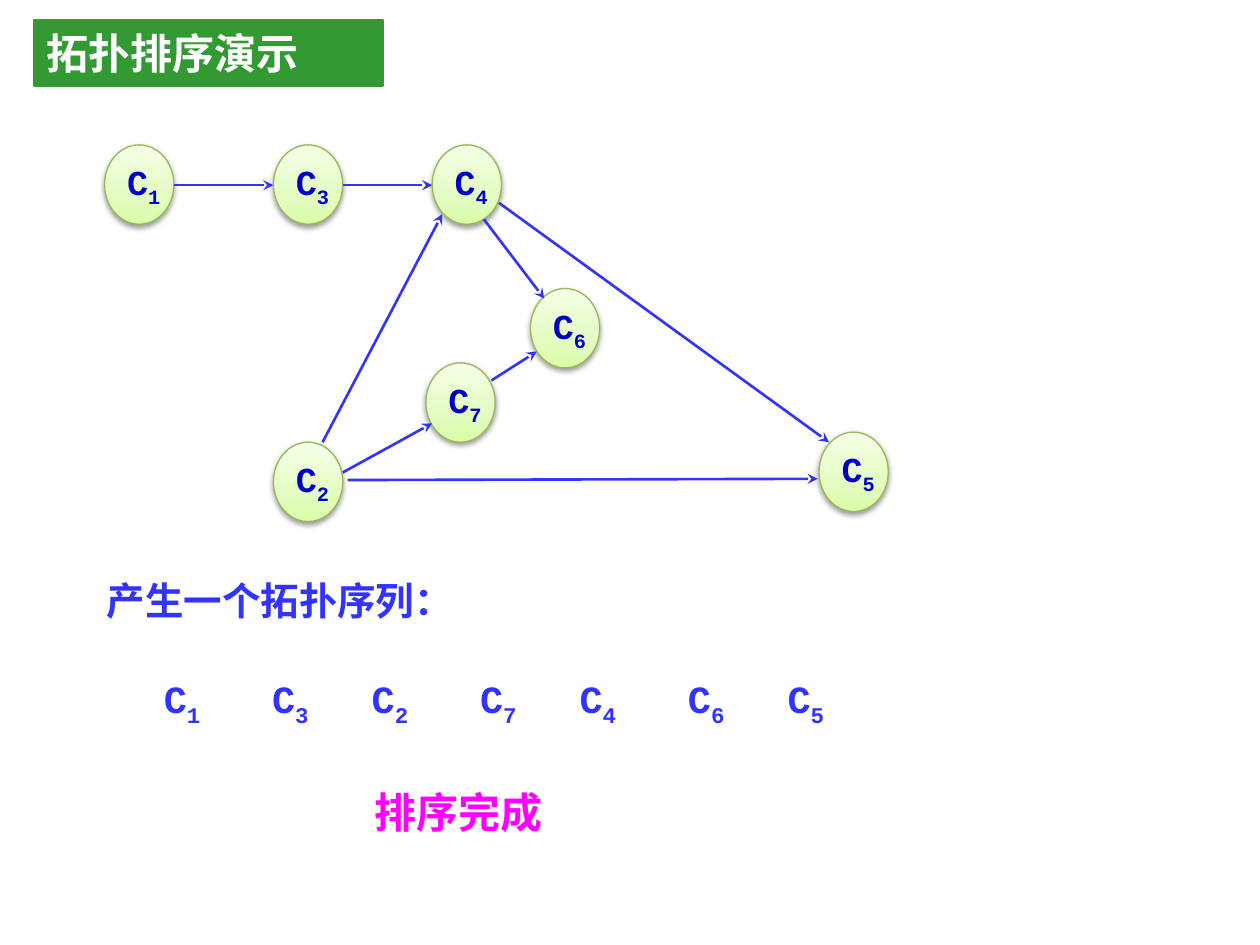
import copy

import lxml.etree
import pptx
import pptx.dml.color
import pptx.enum.shapes
import pptx.enum.text
import pptx.oxml.ns
import pptx.util

Inches = pptx.util.Inches
Pt = pptx.util.Pt
qn = pptx.oxml.ns.qn

FONT = "Courier New"
COLORS = {
    "node_text": "0000CC",
    "node_line": "98B955",
    "edge": "3333FF",
    "banner": "339933",
    "banner_text": "FFFFFF",
    "done": "FF00FF",
    "shadow": "000000",
}
NODE_STOPS = [(0, "DAFDA7"), (0.35, "E4FCC2"), (1, "F5FFE7")]
NODE_WIDTH, NODE_HEIGHT = 0.55, 0.63

# Left and top of each course node
NODES = {
    "1": (0.83, 1.15),
    "3": (2.17, 1.15),
    "4": (3.43, 1.15),
    "2": (2.17, 3.51),
    "7": (3.38, 2.88),
    "6": (4.21, 2.29),
    "5": (6.5, 3.43),
}
# Start and end of each prerequisite arrow
EDGES = [
    ((1.38, 1.47), (2.17, 1.47)),
    ((2.72, 1.47), (3.43, 1.47)),
    ((2.56, 3.51), (3.51, 1.7)),
    ((2.72, 3.75), (3.43, 3.36)),
    ((3.9, 3.02), (4.26, 2.79)),
    ((3.96, 1.61), (6.58, 3.51)),
    ((2.76, 3.81), (6.49, 3.8)),
    ((3.84, 1.74), (4.32, 2.37)),
]
SORTED_ORDER = "1327465"


def rgb(name):
    return pptx.dml.color.RGBColor.from_string(COLORS[name])


def add_span(para, text, size, color):
    span = para.add_run()
    span.text = text
    span.font.name = FONT
    span.font.size = Pt(size)
    span.font.bold = True
    span.font.color.rgb = rgb(color)
    return span


def add_course(para, number, size, color):
    """Write C with a subscript number."""
    add_span(para, "C", size, color)
    span = add_span(para, number, size, color)
    span.font._element.set("baseline", "-25000")


def fill_gradient(shape):
    shape.fill.gradient()
    shape.fill.gradient_angle = 90
    stop_list = shape._element.spPr.find(".//" + qn("a:gsLst"))
    stop_list.append(copy.deepcopy(stop_list[-1]))
    for stop, (position, color) in zip(shape.fill.gradient_stops, NODE_STOPS):
        stop.position = position
        stop.color.rgb = pptx.dml.color.RGBColor.from_string(color)


def add_soft_shadow(shape):
    shape.shadow.inherit = False
    effects = shape._element.spPr.find(qn("a:effectLst"))
    shadow = lxml.etree.SubElement(
        effects, qn("a:outerShdw"), blurRad=str(Pt(3.1)), dist=str(Pt(1.6)),
        dir="5400000", rotWithShape="0")
    color = lxml.etree.SubElement(shadow, qn("a:srgbClr"), val=COLORS["shadow"])
    lxml.etree.SubElement(color, qn("a:alpha"), val="38000")


def add_node(page, number, left, top):
    node = page.shapes.add_shape(
        pptx.enum.shapes.MSO_SHAPE.OVAL, Inches(left), Inches(top),
        Inches(NODE_WIDTH), Inches(NODE_HEIGHT))
    fill_gradient(node)
    node.line.color.rgb = rgb("node_line")
    node.line.width = Pt(0.75)
    add_soft_shadow(node)
    frame = node.text_frame
    frame.word_wrap = False
    frame.vertical_anchor = pptx.enum.text.MSO_ANCHOR.MIDDLE
    para = frame.paragraphs[0]
    para.alignment = pptx.enum.text.PP_ALIGN.LEFT
    add_course(para, number, 20, "node_text")


def add_arrow(page, start, end):
    arrow = page.shapes.add_connector(
        pptx.enum.shapes.MSO_CONNECTOR.STRAIGHT,
        *(Inches(value) for value in start + end))
    arrow.line.color.rgb = rgb("edge")
    arrow.line.width = Pt(1.5)
    lxml.etree.SubElement(arrow.line._get_or_add_ln(), qn("a:tailEnd"), type="stealth")
    lxml.etree.SubElement(arrow._element.spPr, qn("a:effectLst"))


def add_box(page, left, top, width, height):
    """Add an empty text box and return its frame."""
    box = page.shapes.add_textbox(
        Inches(left), Inches(top), Inches(width), Inches(height))
    frame = box.text_frame
    frame.word_wrap = True
    frame.vertical_anchor = pptx.enum.text.MSO_ANCHOR.MIDDLE
    return frame


def add_sequence_item(page, number, left):
    frame = add_box(page, left, 5.32, 0.71, 0.37)
    frame.vertical_anchor = pptx.enum.text.MSO_ANCHOR.TOP
    frame.margin_left = frame.margin_right = frame.margin_bottom = 0
    frame.margin_top = Inches(0.04)
    add_course(frame.paragraphs[0], number, 22, "edge")


def format_title(page, text):
    title = page.shapes.title
    title.left, title.top = Inches(0.27), Inches(0.16)
    title.width, title.height = Inches(2.77), Inches(0.52)
    title.fill.solid()
    title.fill.fore_color.rgb = rgb("banner")
    title.line.color.rgb = rgb("banner")
    title.line.width = Pt(1.5)
    frame = title.text_frame
    frame.auto_size = pptx.enum.text.MSO_AUTO_SIZE.NONE
    frame.vertical_anchor = pptx.enum.text.MSO_ANCHOR.MIDDLE
    para = frame.paragraphs[0]
    para.alignment = pptx.enum.text.PP_ALIGN.LEFT
    add_span(para, text, 24, "banner_text")


def main():
    deck = pptx.Presentation()
    deck.slide_width, deck.slide_height = Inches(10), Inches(7.5)
    page = deck.slides.add_slide(deck.slide_layouts[5])
    format_title(page, "拓扑排序演示")

    # Course graph
    for number, (left, top) in NODES.items():
        add_node(page, number, left, top)
    for start, end in EDGES:
        add_arrow(page, start, end)

    # Resulting order, set in pairs
    caption = add_box(page, 0.75, 4.53, 3.78, 0.47)
    add_span(caption.paragraphs[0], "产生一个拓扑序列：", 22, "edge")
    for index, number in enumerate(SORTED_ORDER):
        pair, second = divmod(index, 2)
        add_sequence_item(page, number, 1.3 + 1.65 * pair + 0.86 * second)

    # Closing message
    closing = add_box(page, 2.87, 6.19, 1.89, 0.5)
    add_span(closing.paragraphs[0], "排序完成", 24, "done")

    deck.save("out.pptx")


if __name__ == "__main__":
    main()
